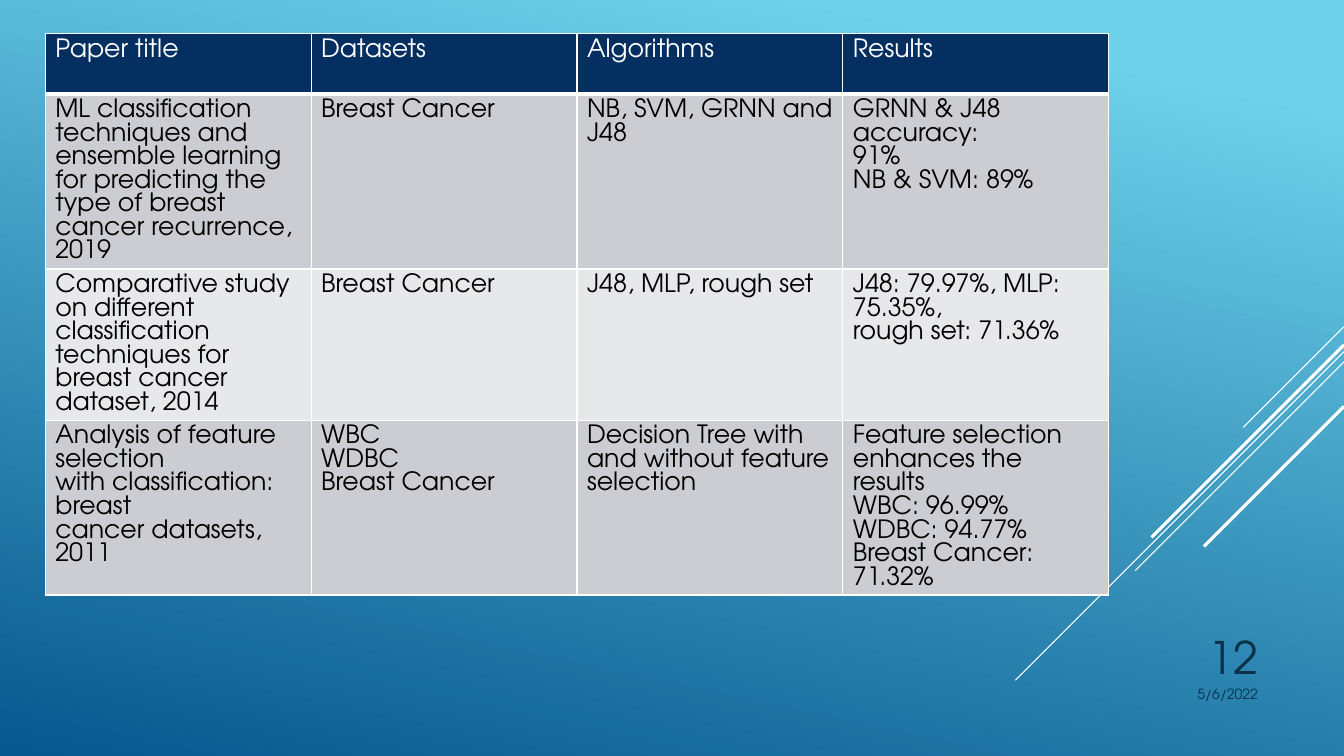
from dataclasses import dataclass

from lxml import etree
from pptx import Presentation
from pptx.dml.color import RGBColor
from pptx.enum.shapes import MSO_CONNECTOR
from pptx.enum.text import MSO_ANCHOR, PP_ALIGN
from pptx.oxml.ns import qn
from pptx.util import Cm, Pt

STRAIGHT = MSO_CONNECTOR.STRAIGHT
TOP, BOTTOM = MSO_ANCHOR.TOP, MSO_ANCHOR.BOTTOM
RIGHT = PP_ALIGN.RIGHT


@dataclass(frozen=True)
class Theme:
    font: str = "TeX Gyre Adventor"
    sky: str = "6ED2EB"
    sea: str = "06588E"
    white: str = "FFFFFF"
    black: str = "000000"
    header: str = "052F61"
    bands: tuple = ("CCCDD2", "E7E8EA")
    footer: str = "0A304A"
    table_size: int = 18
    date_size: int = 10
    number_size: int = 32


T = Theme()


def style(p, size, color):
    p.font.name = T.font
    p.font.size = Pt(size)
    p.font.color.rgb = RGBColor.from_string(color)


def add_border(cell, side, width):
    ln = etree.SubElement(cell._tc.get_or_add_tcPr(), qn(f"a:ln{side}"), w=str(Pt(width)))
    fill = etree.SubElement(ln, qn("a:solidFill"))
    etree.SubElement(fill, qn("a:srgbClr"), val=T.white)


prs = Presentation()
prs.slide_width, prs.slide_height = Cm(33.87), Cm(19.05)
s = prs.slides.add_slide(prs.slide_layouts[6])

# Background gradient
bg = s.background.fill
bg.gradient()
bg.gradient_angle = 258
for stop, position, color in zip(bg.gradient_stops, (0.1, 1), (T.sky, T.sea)):
    stop.position = position
    stop.color.rgb = RGBColor.from_string(color)

# Diagonal lines at 45 degrees from the right edge: top, span, width
diagonals = [
    (8.23, 2.54, 0.75),
    (8.86, 8.28, 0.75),
    (9.12, 5.26, 0.75),
    (8.69, 4.85, 2.25),
    (10.24, 3.53, 2.25),
]
for top, span, width in diagonals:
    line = s.shapes.add_connector(STRAIGHT, Cm(33.87), Cm(top), Cm(33.87 - span), Cm(top + span))
    line.line.color.rgb = RGBColor.from_string(T.white)
    line.line.width = Pt(width)
    etree.SubElement(line._element.spPr, qn("a:effectLst"))

# Table of related papers
rows = [
    ("Paper title", "Datasets", "Algorithms", "Results"),
    (
        "ML classification techniques and ensemble learning for predicting "
        "the type of breast cancer recurrence, 2019",
        "Breast Cancer",
        "NB, SVM, GRNN and J48",
        "GRNN & J48 accuracy:\n91%\nNB & SVM: 89%",
    ),
    (
        "Comparative study on different classification techniques for "
        "breast cancer dataset, 2014",
        "Breast Cancer",
        "J48, MLP, rough set",
        "J48: 79.97%, MLP: 75.35%,\nrough set: 71.36%",
    ),
    (
        "Analysis of feature selection\nwith classification: breast\ncancer datasets, 2011",
        "WBC\nWDBC\nBreast Cancer",
        "Decision Tree with and without feature selection",
        "Feature selection\nenhances the results\nWBC: 96.99%\nWDBC: 94.77%\n"
        "Breast Cancer: 71.32%",
    ),
]
heights = [1.53, 4.36, 3.8, 4.36]
table = s.shapes.add_table(
    len(rows), len(rows[0]), Cm(1.14), Cm(0.84), Cm(26.8), Cm(sum(heights))
).table
for column in table.columns:
    column.width = Cm(6.7)
for i, (texts, height) in enumerate(zip(rows, heights)):
    table.rows[i].height = Cm(height)
    is_header = i == 0
    for j, text in enumerate(texts):
        cell = table.cell(i, j)
        cell.text = text
        for p in cell.text_frame.paragraphs:
            style(p, T.table_size, T.white if is_header else T.black)
            p.font.bold = False
        for side, width in (("L", 1), ("R", 1), ("T", 3 if i == 1 else 1), ("B", 3 if is_header else 1)):
            add_border(cell, side, width)
        cell.fill.solid()
        cell.fill.fore_color.rgb = RGBColor.from_string(T.header if is_header else T.bands[(i - 1) % 2])

# Date and slide number
footers = [
    ("5/6/2022", 27.51, 17.15, 4.44, 1.02, T.date_size, TOP),
    ("12", 28.78, 15.49, 3.17, 1.85, T.number_size, BOTTOM),
]
for text, left, top, width, height, size, anchor in footers:
    tf = s.shapes.add_textbox(Cm(left), Cm(top), Cm(width), Cm(height)).text_frame
    tf.word_wrap = True
    tf.vertical_anchor = anchor
    p = tf.paragraphs[0]
    p.text = text
    p.alignment = RIGHT
    style(p, size, T.footer)

prs.save("out.pptx")
